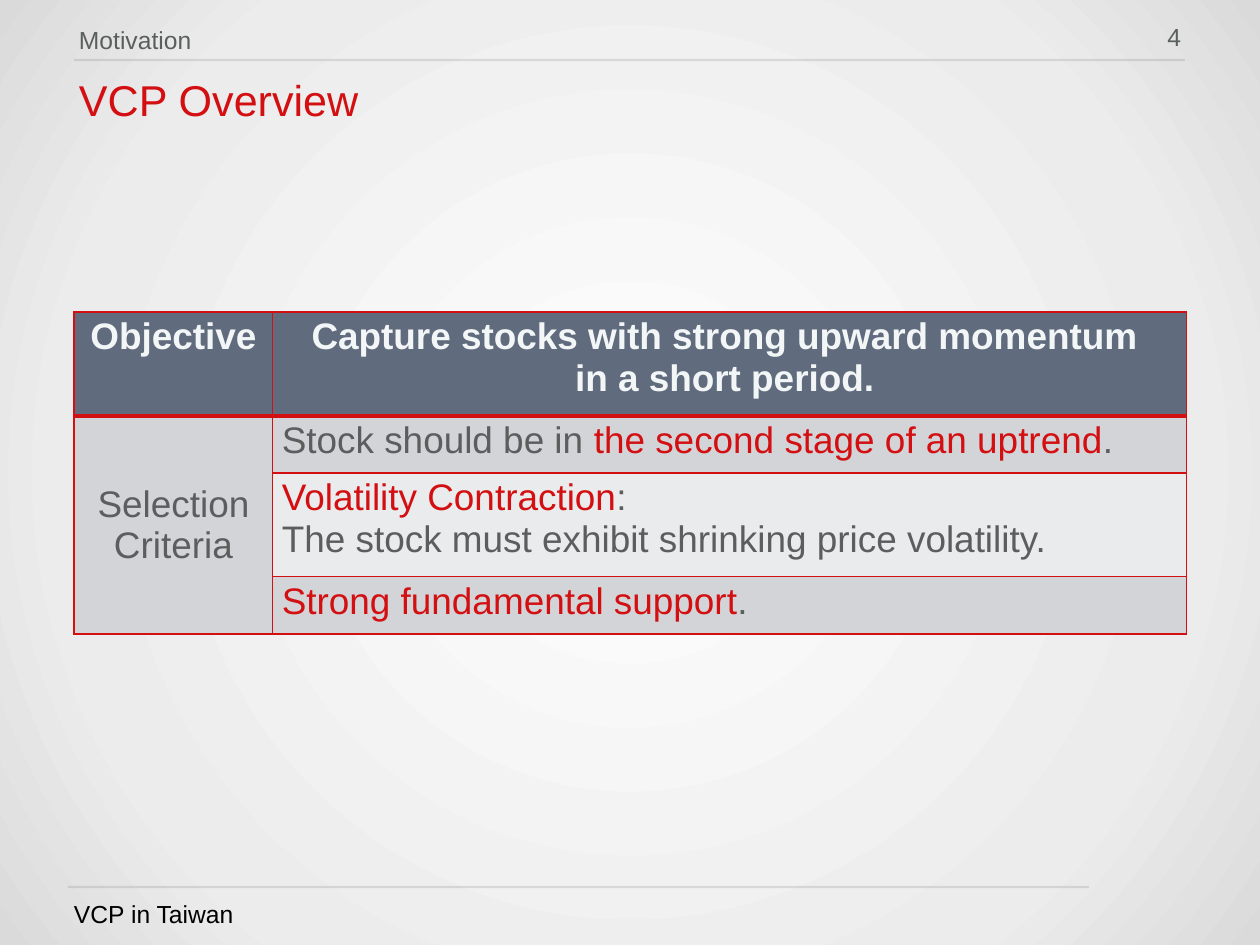
from lxml import etree
from pptx import Presentation
from pptx import util as u
from pptx.dml.color import RGBColor
from pptx.enum import text as t
from pptx.oxml import parse_xml
from pptx.oxml.ns import qn

PX = 10320  # EMU in one px
NS = 'xmlns:a="http://schemas.openxmlformats.org/drawingml/2006/main"'
COLORS = {
    "red": "D30F11", "grey": "5A5F5E", "black": "000000", "pale": "F3F6F6",
    "slate": "606B7E", "band": "D2D4D8", "light": "EAEBEC",
}
GLOW = [(0, "FFFFFF"), (73, "ECECEC"), (100, "DADADA")]
LEFT, MID = t.PP_ALIGN.LEFT, t.PP_ALIGN.CENTER
TOP, CENTER = t.MSO_ANCHOR.TOP, t.MSO_ANCHOR.MIDDLE

# Each cell: fill, alignment, anchor, bold, paragraphs of (words, color) runs
OBJECTIVE = [
    ("slate", MID, TOP, True, [[("Objective", "pale")]]),
    ("slate", MID, TOP, True, [
        [("Capture stocks with strong upward momentum ", "pale")],
        [("in a short period. ", "pale")]]),
]
CRITERIA = ("band", MID, CENTER, False, [[("Selection Criteria", "grey")]])
RULES = [
    ("band", LEFT, TOP, False, [[
        ("Stock should be in ", "grey"),
        ("the second stage of an uptrend", "red"), (".", "grey")]]),
    ("light", LEFT, TOP, False, [
        [("Volatility Contraction", "red"), (":", "grey")],
        [("The stock must exhibit shrinking price volatility.", "grey")]]),
    ("band", LEFT, TOP, False, [[
        ("Strong fundamental support", "red"), (".", "grey")]]),
]


def rgb(name):
    return RGBColor.from_string(COLORS[name])


def apply(item, values):
    for key, value in values.items():
        setattr(item, key, value)


def add_run(para, words, color, size, bold=False):
    run = para.add_run()
    run.text = words
    apply(run.font, {"name": "Arial", "size": u.Pt(size), "bold": bold})
    run.font.color.rgb = rgb(color)


def set_glow(slide):
    """Fill the background with a gradient that spreads from the center."""
    fill = slide.background.fill
    fill.solid()
    stops = "".join(
        f'<a:gs pos="{pos * 1000}"><a:srgbClr val="{color}"/></a:gs>'
        for pos, color in GLOW)
    grad = parse_xml(
        f'<a:gradFill {NS} rotWithShape="1"><a:gsLst>{stops}</a:gsLst>'
        '<a:path path="circle"><a:fillToRect l="50000" t="50000" r="50000" '
        'b="50000"/></a:path></a:gradFill>')
    solid = slide.element.find(".//" + qn("a:solidFill"))
    solid.getparent().replace(solid, grad)


def add_rule(slide, left, right, y):
    line = slide.shapes.add_connector(1, left * PX, y * PX, right * PX, y * PX)
    line.line.width = u.Pt(2)
    line.line.color.rgb = rgb("grey")
    props = line.element.spPr
    tint = props.find(".//" + qn("a:srgbClr"))
    etree.SubElement(tint, qn("a:alpha"), val="16000")
    etree.SubElement(props, qn("a:effectLst"))


def set_text(shape, box, words, color, size=20, align=LEFT, anchor=TOP, gap=12):
    """Place a text shape and give it one line without a bullet."""
    sides = ("left", "top", "width", "height")
    apply(shape, {side: n * PX for side, n in zip(sides, box)})
    frame = shape.text_frame
    apply(frame, {"word_wrap": True, "auto_size": t.MSO_AUTO_SIZE.NONE,
                  "vertical_anchor": anchor})
    apply(frame, {f"margin_{side}": 5 * PX
                  for side in ("left", "top", "right", "bottom")})
    para = frame.paragraphs[0]
    apply(para, {"alignment": align, "line_spacing": 0.9,
                 "space_before": u.Pt(gap)})
    props = para._p.get_or_add_pPr()
    props.set("marL", "0")
    props.set("indent", "0")
    etree.SubElement(props, qn("a:buNone"))
    add_run(para, words, color, size)


def set_edges(cell, base):
    """Draw red cell borders; base is the width of the lower one."""
    props = cell._tc.get_or_add_tcPr()
    for spot, (side, width) in enumerate(
            [("L", 1), ("R", 1), ("T", 1), ("B", base)]):
        props.insert(spot, parse_xml(
            f'<a:ln{side} {NS} w="{u.Pt(width)}"><a:solidFill>'
            f'<a:srgbClr val="{COLORS["red"]}"/></a:solidFill></a:ln{side}>'))


def fill_cell(cell, fill, align, anchor, bold, paras):
    cell.fill.solid()
    cell.fill.fore_color.rgb = rgb(fill)
    cell.vertical_anchor = anchor
    frame = cell.text_frame
    for spot, runs in enumerate(paras):
        para = frame.add_paragraph() if spot else frame.paragraphs[0]
        para.alignment = align
        for words, color in runs:
            add_run(para, words, color, 30, bold)


def add_grid(slide):
    cols, rows = [199, 914], [104, 57, 104, 57]
    grid = slide.shapes.add_table(
        len(rows), len(cols), 74 * PX, 312 * PX,
        sum(cols) * PX, sum(rows) * PX).table
    apply(grid, {"first_row": False, "horz_banding": False})
    for col, width in zip(grid.columns, cols):
        col.width = width * PX
    for row, height in zip(grid.rows, rows):
        row.height = height * PX
    grid.cell(1, 0).merge(grid.cell(3, 0))
    for col, data in enumerate(OBJECTIVE):
        fill_cell(grid.cell(0, col), *data)
    fill_cell(grid.cell(1, 0), *CRITERIA)
    for row, data in enumerate(RULES, 1):
        fill_cell(grid.cell(row, 1), *data)
    for row in range(len(rows)):
        for col in range(len(cols)):
            cell = grid.cell(row, col)
            set_edges(cell, 1 if row else 3)
            if row > 1 and col == 0:
                cell.fill.solid()
                cell.fill.fore_color.rgb = rgb("band")


def main():
    deck = Presentation()
    apply(deck, {"slide_width": 1260 * PX, "slide_height": 945 * PX})
    slide = deck.slides.add_slide(deck.slide_layouts[3])
    set_glow(slide)
    add_rule(slide, 74, 1185, 60)
    add_rule(slide, 68, 1089, 887)
    title, section, footer = slide.placeholders
    set_text(title, (74, 74, 1111, 59), "VCP Overview", "red", 35, gap=0)
    set_text(section, (74, 20, 921, 40), "Motivation", "grey",
             anchor=t.MSO_ANCHOR.BOTTOM)
    set_text(footer, (69, 894, 531, 40), "VCP in Taiwan", "black",
             anchor=t.MSO_ANCHOR.BOTTOM)
    number = slide.shapes.add_textbox(0, 0, 0, 0)
    set_text(number, (1138, 20, 48, 39), "4", "grey", align=t.PP_ALIGN.RIGHT)
    add_grid(slide)
    deck.save("out.pptx")


if __name__ == "__main__":
    main()
